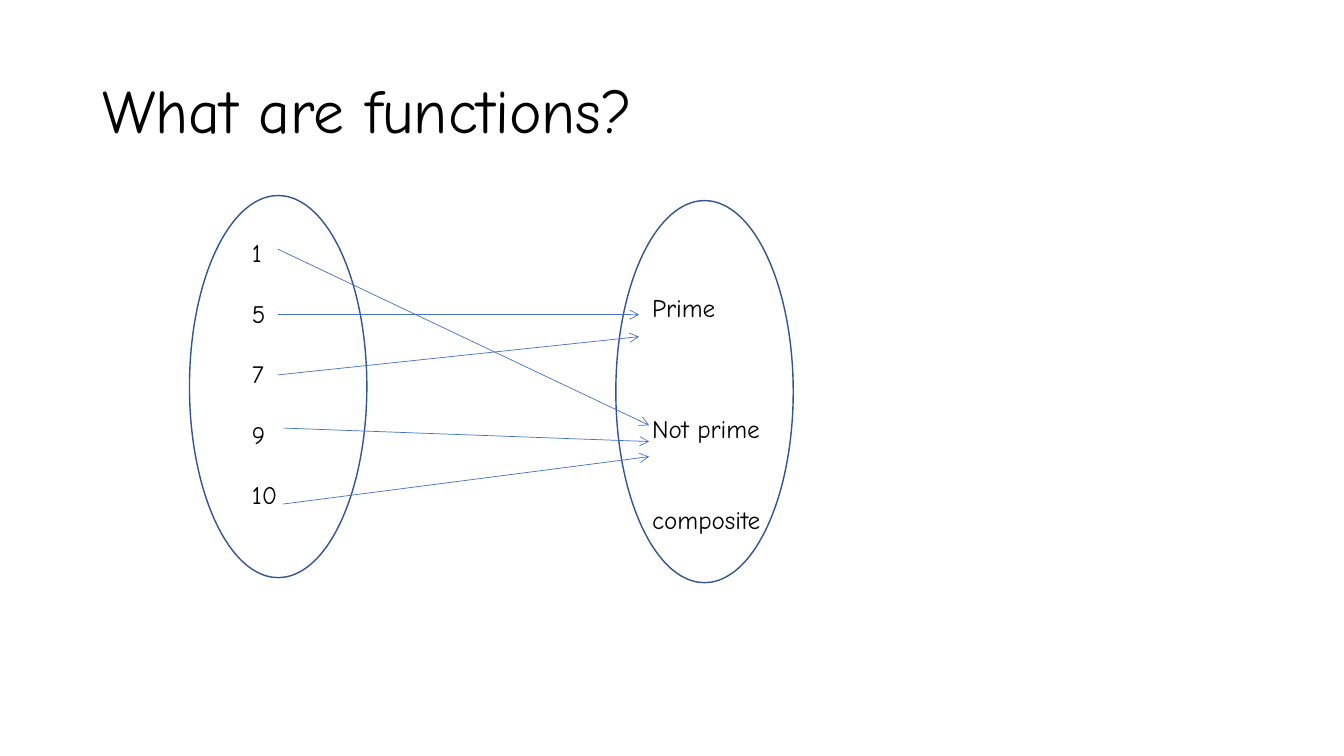
from pptx import Presentation
from pptx.dml.color import RGBColor
from pptx.enum import shapes, text
from pptx.oxml import parse_xml
from pptx.oxml.ns import nsdecls
from pptx.util import Pt

"""Build a slide that maps numbers to prime and not prime."""

TITLE = "What are functions?"
FONT = "Comic Neue"
BLACK = RGBColor(0, 0, 0)
NAVY = RGBColor(0x32, 0x54, 0x91)
BLUE = RGBColor(0x44, 0x72, 0xC4)
ROW = 21.6
OVAL = (126.72, 272.88)

SETS = [
    {"oval": (135.36, 139.68), "box": (172.8, 166.32, 46.8, 203.76),
     "items": [("1", 0), ("5", 1), ("7", 1), ("9", 1), ("10", 1)]},
    {"oval": (439.92, 143.28), "box": (458.64, 205.2, 115.92, 181.44),
     "items": [("Prime", 0), ("Not prime", 3), ("composite", 2)]},
]
ARROWS = [
    ((198.5, 178), (463.7, 303.8)),
    ((198.5, 224.8), (456.5, 224.8)),
    ((198.5, 267.8), (456.5, 240.5)),
    ((202.5, 305.8), (463.7, 315.4)),
    ((202.5, 360), (463.7, 326.2)),
]


def pts(*nums):
    return [Pt(n) for n in nums]


def write(shape, items, size=18, anchor=text.MSO_ANCHOR.TOP, lead=None):
    frame = shape.text_frame
    frame.word_wrap = True
    frame.auto_size = text.MSO_AUTO_SIZE.NONE
    frame.vertical_anchor = anchor
    for i, (words, skip) in enumerate(items):
        para = frame.add_paragraph() if i else frame.paragraphs[0]
        para.alignment = text.PP_ALIGN.LEFT
        para.space_before = Pt(skip * ROW)
        if lead:
            para.line_spacing = lead
        run = para.add_run()
        run.text = words
        run.font.name = FONT
        run.font.size = Pt(size)
        run.font.color.rgb = BLACK


def arrow(slide, start, end):
    link = slide.shapes.add_connector(
        shapes.MSO_CONNECTOR.STRAIGHT, *pts(*start, *end))
    link.line.color.rgb = BLUE
    link.line.width = Pt(0.5)
    link.line._get_or_add_ln().append(
        parse_xml(f'<a:tailEnd {nsdecls("a")} type="arrow"/>'))
    link._element.spPr.append(parse_xml(f'<a:effectLst {nsdecls("a")}/>'))


deck = Presentation()
deck.slide_width, deck.slide_height = pts(960, 540)
slide = deck.slides.add_slide(deck.slide_layouts[5])

title = slide.shapes.title
title.left, title.top, title.width, title.height = pts(66, 28.8, 828, 104.4)
write(title, [(TITLE, 0)], size=44, anchor=text.MSO_ANCHOR.MIDDLE, lead=0.9)

for group in SETS:
    oval = slide.shapes.add_shape(
        shapes.MSO_SHAPE.OVAL, *pts(*group["oval"], *OVAL))
    oval.shadow.inherit = False
    oval.fill.background()
    oval.line.color.rgb = NAVY
    oval.line.width = Pt(1)
    write(slide.shapes.add_textbox(*pts(*group["box"])), group["items"])

for start, end in ARROWS:
    arrow(slide, start, end)

deck.save("out.pptx")
